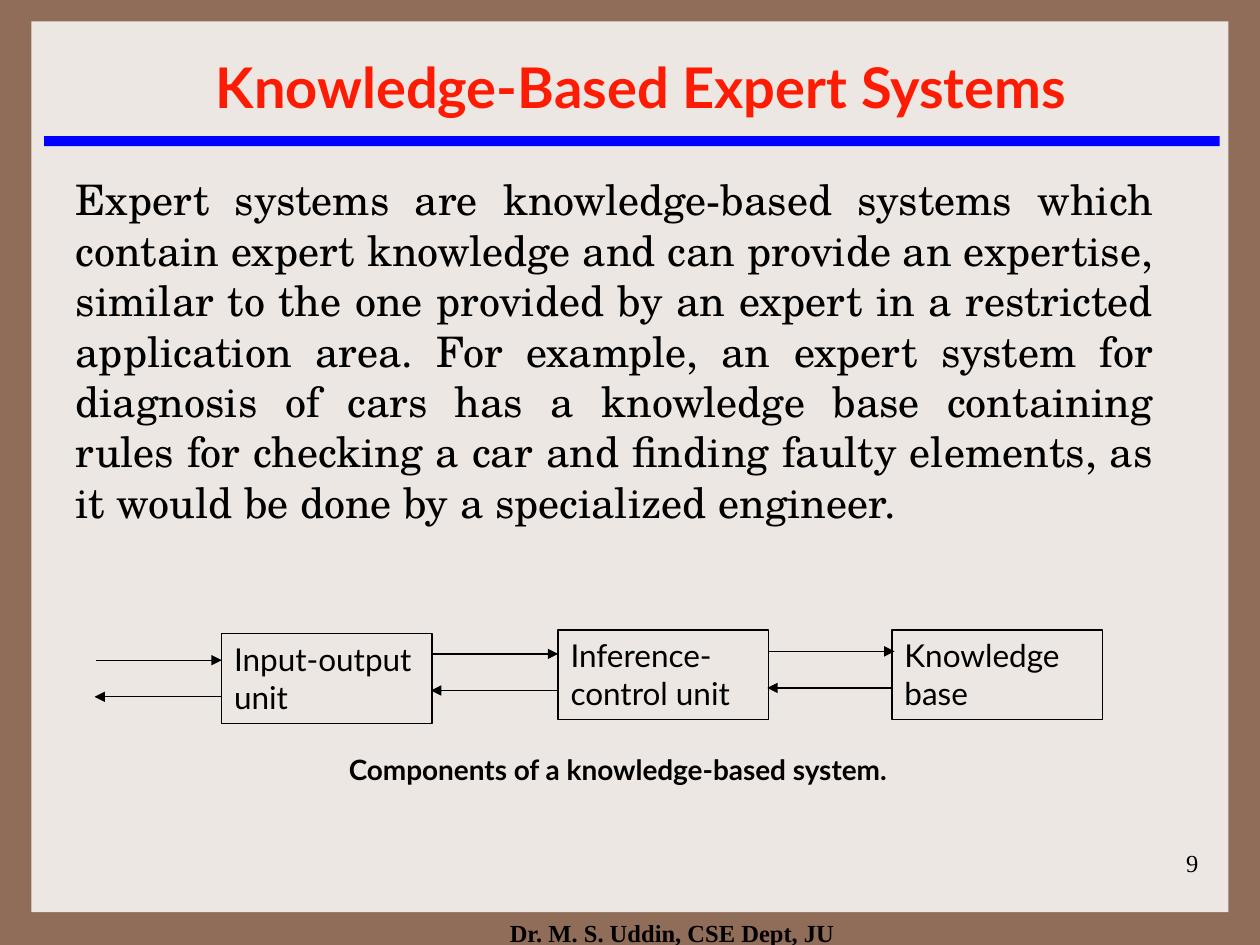
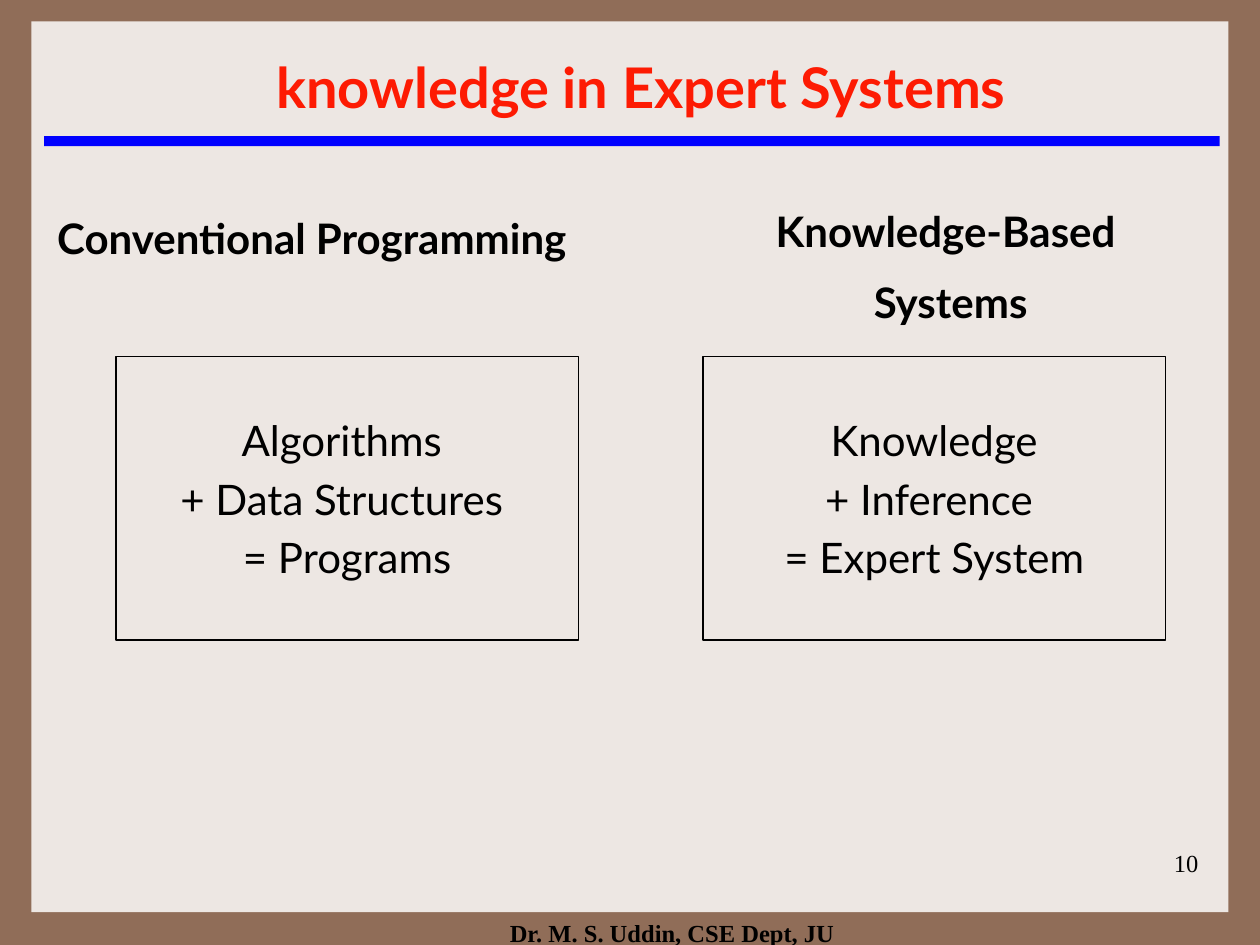
from lxml import etree
from pptx import Presentation
from pptx.dml.color import RGBColor
from pptx.enum import shapes as es, text as et
from pptx.oxml.ns import qn
from pptx.util import Inches, Pt

BROWN, CREAM, BLUE, RED, BLACK = "906D58", "EDE7E3", "0000FF", "FD1B03", "000000"
LATO, SCHOLA, TIMES = "Lato", "TeX Gyre Schola", "Times New Roman"
LEFT, MID, RIGHT, FULL = (et.PP_ALIGN.LEFT, et.PP_ALIGN.CENTER,
                          et.PP_ALIGN.RIGHT, et.PP_ALIGN.JUSTIFY)


def paint(target, color):
    if hasattr(target, "solid"):
        target.solid()
        target = target.fore_color
    target.rgb = RGBColor.from_string(color)


def place(shape, box):
    shape.left, shape.top, shape.width, shape.height = map(Inches, box)


def write(shape, lines, font, size, color=BLACK, bold=False, align=LEFT,
          gap=0, anchor=et.MSO_ANCHOR.TOP, wrap=True):
    frame = shape.text_frame
    frame.auto_size = et.MSO_AUTO_SIZE.NONE
    frame.word_wrap = wrap
    frame.vertical_anchor = anchor
    for i, line in enumerate(lines):
        para = frame.add_paragraph() if i else frame.paragraphs[0]
        if shape.is_placeholder:
            props = para._p.get_or_add_pPr()
            props.set("marL", "0")
            props.set("indent", "0")
            etree.SubElement(props, qn("a:buNone"))
        para.alignment = align
        para.space_before = Pt(gap if i else 0)
        run = para.add_run()
        run.text = line
        run.font.name, run.font.size, run.font.bold = font, Pt(size), bold
        paint(run.font.fill, color)


def label(slide, box, words, font, size, **style):
    write(slide.shapes.add_textbox(*map(Inches, box)), [words], font, size, **style)


def block(slide, box, fill=None):
    shape = slide.shapes.add_shape(es.MSO_SHAPE.RECTANGLE, *map(Inches, box))
    shape.shadow.inherit = False
    if fill:
        paint(shape.fill, fill)
        shape.line.fill.background()
    else:
        shape.fill.background()
        paint(shape.line.fill, BLACK)
        shape.line.width = Pt(0.75)
    return shape


def arrow(slide, start, end, y):
    line = slide.shapes.add_connector(es.MSO_CONNECTOR.STRAIGHT,
                                      *map(Inches, (start, y, end, y)))
    paint(line.line.fill, BLACK)
    line.line.width = Pt(0.75)
    etree.SubElement(line.line._get_or_add_ln(), qn("a:tailEnd"), type="triangle")
    etree.SubElement(line._element.spPr, qn("a:effectLst"))


def backdrop(deck, slide):
    master = deck.slide_master
    paint(master.background.fill, BROWN)
    tree = master.shapes._spTree
    parts = [((0.25, 0.17, 9.5, 7.07), CREAM), ((0.35, 1.08, 9.33, 0.08), BLUE)]
    for i, (box, fill) in enumerate(parts):
        part = block(slide, box, fill)._element
        part.nvSpPr.cNvPr.set("id", str(50 + i))
        tree.insert(2 + i, part)


def start(deck, layout, title, number):
    slide = deck.slides.add_slide(deck.slide_layouts[layout])
    head = slide.shapes.title
    place(head, (0.05, 0.42, 10.08, 0.58))
    write(head, [title], LATO, 32, RED, True, MID, anchor=et.MSO_ANCHOR.BOTTOM)
    label(slide, (3.75, 7.24, 3.17, 0.26), "Dr. M. S. Uddin, CSE Dept, JU",
          TIMES, 14, bold=True, align=MID)
    label(slide, (7.53, 6.68, 2.08, 0.5), str(number), TIMES, 14, align=RIGHT)
    return slide


def diagram(slide, left, top):
    step, reach = 2.67, 1
    units = [("Input-output unit", 1.01, 0.03, 0.24),
             ("Inference-control unit", 3.68, 0, 0.19),
             ("Knowledge base", 6.33, 0, 0.17)]
    for i, (name, x, y, flow) in enumerate(units):
        unit = block(slide, (left + x, top + y, 1.67, 0.71))
        write(unit, [name], LATO, 18)
        tail = left + i * step
        arrow(slide, tail + 0.01, tail + 0.01 + reach, top + flow)
        arrow(slide, tail + reach, tail, top + flow + 0.29)
    label(slide, (left + 1.92, top + 0.92, 5.06, 0.37),
          "Components of a knowledge-based system.", LATO, 16, bold=True, wrap=False)


def column(slide, body, left, top, head, lines, box):
    place(body, (left, top, 4.75, 5.08))
    write(body, head, LATO, 24, bold=True, align=MID, gap=12)
    write(block(slide, (*box, 3.67, 2.25)), lines, LATO, 24, align=MID, gap=4.8,
          anchor=et.MSO_ANCHOR.MIDDLE, wrap=False)


def systems(deck):
    slide = start(deck, 1, "Knowledge-Based Expert Systems", 9)
    backdrop(deck, slide)
    body = slide.placeholders[1]
    place(body, (0.5, 1.33, 8.75, 2.9))
    write(body, ["Expert systems are knowledge-based systems which contain expert "
                 "knowledge and can provide an expertise, similar to the one provided "
                 "by an expert in a restricted application area. For example, an "
                 "expert system for diagnosis of cars has a knowledge base containing "
                 "rules for checking a car and finding faulty elements, as it would "
                 "be done by a specialized engineer."], SCHOLA, 24, align=FULL)
    diagram(slide, 0.75, 5)


def compare(deck):
    slide = start(deck, 3, "knowledge in Expert Systems", 10)
    column(slide, slide.placeholders[1], 0.1, 1.64, ["Conventional Programming"],
           ["Algorithms ", "+ Data Structures ", "= Programs"], (0.92, 2.83))
    column(slide, slide.placeholders[2], 5.17, 1.58, ["Knowledge-Based ", "Systems"],
           ["Knowledge", "+ Inference ", "= Expert System"], (5.58, 2.83))


def main():
    deck = Presentation()
    deck.slide_width, deck.slide_height = Inches(10), Inches(7.5)
    systems(deck)
    compare(deck)
    deck.save("out.pptx")


if __name__ == "__main__":
    main()
